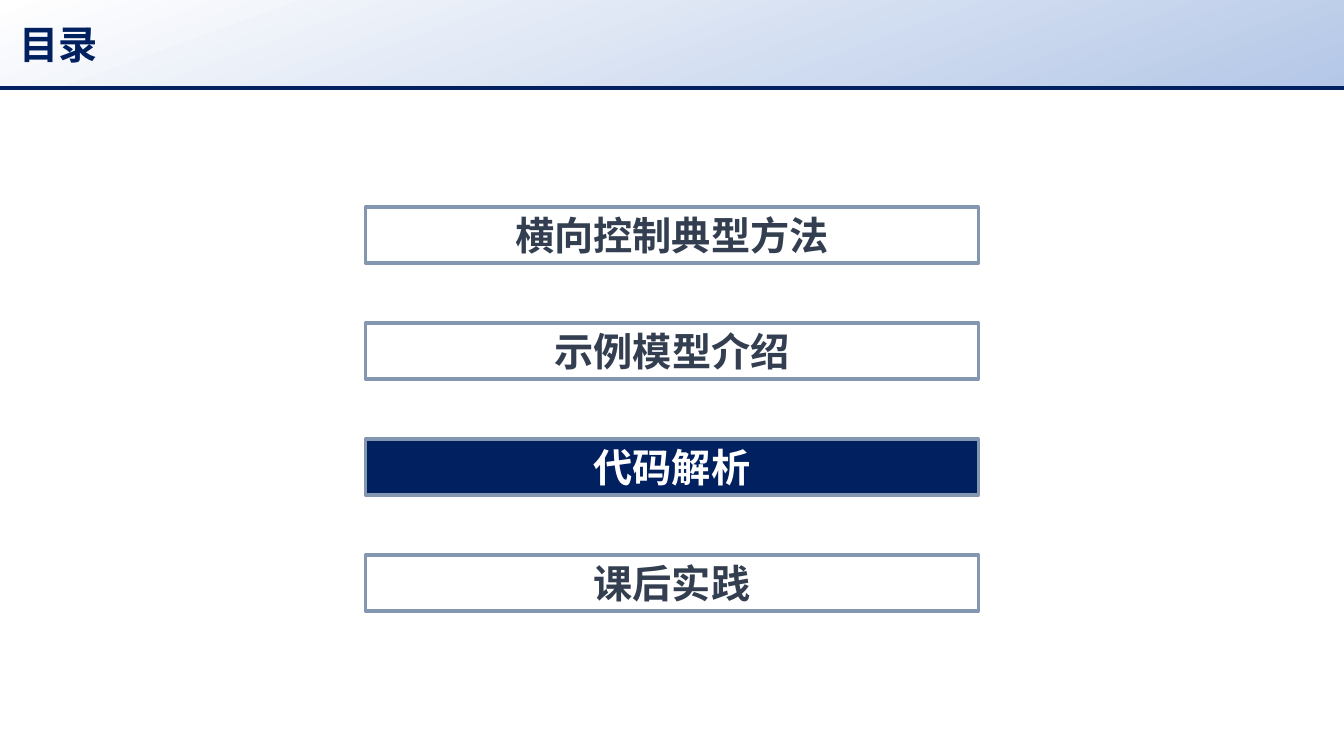
"""Build an agenda slide with a gradient title band and four section boxes."""
from dataclasses import dataclass

from lxml.etree import SubElement
from pptx import Presentation
from pptx.dml.color import RGBColor as Color
from pptx.enum.shapes import MSO_CONNECTOR as Connector, MSO_SHAPE as Shape
from pptx.enum.text import MSO_ANCHOR as Anchor, MSO_AUTO_SIZE as AutoSize, PP_ALIGN as Align
from pptx.oxml.ns import qn
from pptx.util import Pt

TITLE = "目录"
SECTIONS = ["横向控制典型方法", "示例模型介绍", "代码解析", "课后实践"]
CURRENT = "代码解析"

PAGE = (1344, 756)
BAND_HEIGHT = 88
TITLE_INDENT = 19
BOX_SIZE = (613, 56)
FIRST_TOP = 207
PITCH = 116
INSETS = (9, 4)


@dataclass(frozen=True)
class Theme:
    font: str = "Noto Sans CJK SC"
    size: int = 28
    line: float = 2.25
    navy: str = "002060"
    sky: str = "B4C7E7"
    white: str = "FFFFFF"
    slate: str = "333F50"
    border: str = "8497B0"


THEME = Theme()


def px(value):
    return round(value * 914400 / 100.8)


def rgb(name):
    return Color.from_string(name)


def write(frame, text, color, align):
    para = frame.paragraphs[0]
    para.alignment = align
    span = para.add_run()
    span.text = text
    font = span.font
    font.name, font.size, font.bold = THEME.font, Pt(THEME.size), True
    font.color.rgb = rgb(color)
    SubElement(font._element, qn("a:ea"), typeface=THEME.font)


def set_line(line, color):
    line.color.rgb = rgb(color)
    line.width = Pt(THEME.line)


def add_title(page):
    band = page.shapes.title
    band.left, band.top, band.width, band.height = 0, 0, px(PAGE[0]), px(BAND_HEIGHT)
    band.fill.gradient()
    band.fill.gradient_angle = 290
    for stop, color in zip(band.fill.gradient_stops, (THEME.white, THEME.sky)):
        stop.color.rgb = rgb(color)
    frame = band.text_frame
    frame.auto_size = AutoSize.NONE
    frame.vertical_anchor = Anchor.MIDDLE
    frame.margin_left = px(TITLE_INDENT)
    write(frame, TITLE, THEME.navy, Align.LEFT)

    rule = page.shapes.add_connector(
        Connector.STRAIGHT, 0, px(BAND_HEIGHT), px(PAGE[0]), px(BAND_HEIGHT))
    set_line(rule.line, THEME.navy)
    SubElement(rule._element.spPr, qn("a:effectLst"))


def add_section(page, index, name):
    width, height = BOX_SIZE
    left = (PAGE[0] - width) / 2
    box = page.shapes.add_shape(
        Shape.RECTANGLE, px(left), px(FIRST_TOP + index * PITCH), px(width), px(height))
    box.shadow.inherit = False
    fill, ink = (THEME.navy, THEME.white) if name == CURRENT else (THEME.white, THEME.slate)
    box.fill.solid()
    box.fill.fore_color.rgb = rgb(fill)
    set_line(box.line, THEME.border)
    frame = box.text_frame
    frame.word_wrap = True
    frame.vertical_anchor = Anchor.MIDDLE
    frame.margin_left = frame.margin_right = px(INSETS[0])
    frame.margin_top = frame.margin_bottom = px(INSETS[1])
    write(frame, name, ink, Align.CENTER)


def main():
    deck = Presentation()
    deck.slide_width, deck.slide_height = map(px, PAGE)
    page = deck.slides.add_slide(deck.slide_layouts[5])
    add_title(page)
    for index, name in enumerate(SECTIONS):
        add_section(page, index, name)
    deck.save("out.pptx")


if __name__ == "__main__":
    main()
